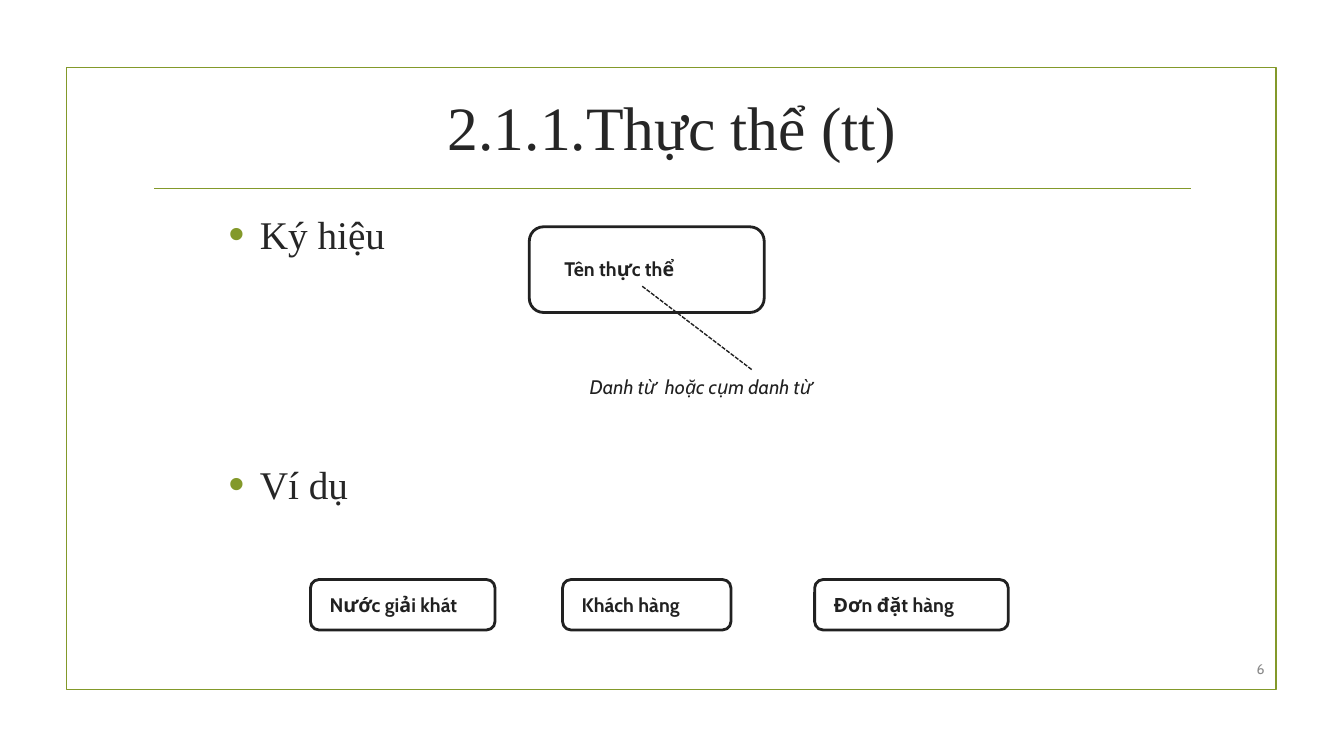
from lxml import etree
from pptx import Presentation
from pptx.dml.color import RGBColor
from pptx.enum import dml, shapes, text
from pptx.oxml import ns
from pptx.util import Inches, Pt

GREEN = RGBColor(0x83, 0x99, 0x2A)
DARK = RGBColor(0x26, 0x26, 0x26)
INK = RGBColor(0x21, 0x21, 0x21)
GRAY = RGBColor(0x89, 0x89, 0x89)
WHITE = RGBColor(0xFF, 0xFF, 0xFF)
SERIF = "Times New Roman"
SANS = "Cabin"


def set_font(paragraph, name, size, color, bold=False, italic=False):
    font = paragraph.font
    font.name, font.size = name, Pt(size)
    font.bold, font.italic = bold, italic
    font.color.rgb = color


def add_text(slide, wording, left, top, width, height, name, size, color,
             align=text.PP_ALIGN.LEFT, anchor=text.MSO_ANCHOR.TOP, **style):
    box = slide.shapes.add_textbox(
        Inches(left), Inches(top), Inches(width), Inches(height))
    frame = box.text_frame
    frame.word_wrap = True
    frame.vertical_anchor = anchor
    paragraph = frame.paragraphs[0]
    paragraph.text = wording
    paragraph.alignment = align
    set_font(paragraph, name, size, color, **style)


def add_box(slide, kind, left, top, width, height, color, weight):
    shape = slide.shapes.add_shape(
        kind, Inches(left), Inches(top), Inches(width), Inches(height))
    shape.shadow.inherit = False
    shape.line.color.rgb = color
    shape.line.width = Pt(weight)
    return shape


def add_line(slide, x1, y1, x2, y2, color, weight, dash=None):
    line = slide.shapes.add_connector(
        shapes.MSO_CONNECTOR.STRAIGHT,
        Inches(x1), Inches(y1), Inches(x2), Inches(y2))
    line.line.color.rgb = color
    line.line.width = Pt(weight)
    line.line.dash_style = dash
    etree.SubElement(line._element.spPr, ns.qn("a:effectLst"))


def add_entity(slide, name, left, top, width, height, inset_x, inset_y):
    shape = add_box(slide, shapes.MSO_SHAPE.ROUNDED_RECTANGLE,
                    left, top, width, height, INK, 2)
    shape.fill.solid()
    shape.fill.fore_color.rgb = WHITE
    add_text(slide, name, left + inset_x, top + inset_y, width - 2 * inset_x,
             0.34, SANS, 14, INK, bold=True)


def add_bullet(paragraph):
    properties = paragraph._p.get_or_add_pPr()
    properties.set("marL", str(Inches(0.31)))
    properties.set("indent", str(-Inches(0.31)))
    color = etree.SubElement(properties, ns.qn("a:buClr"))
    etree.SubElement(color, ns.qn("a:srgbClr"), val=str(GREEN))
    etree.SubElement(properties, ns.qn("a:buSzPct"), val="115000")
    etree.SubElement(properties, ns.qn("a:buFont"), typeface="Arial")
    etree.SubElement(properties, ns.qn("a:buChar"), char="•")


def add_headings(slide, headings, gap):
    box = slide.shapes.add_textbox(
        Inches(2.17), Inches(2.04), Inches(9.08), Inches(4.79))
    frame = box.text_frame
    frame.word_wrap = True
    for index, heading in enumerate(headings):
        paragraph = frame.add_paragraph() if index else frame.paragraphs[0]
        paragraph.text = heading
        add_bullet(paragraph)
        paragraph.space_before = Pt(gap if index else 0)
        paragraph.space_after = Pt(6)
        set_font(paragraph, SERIF, 28, DARK)


def main():
    presentation = Presentation()
    presentation.slide_width = Inches(13.33)
    presentation.slide_height = Inches(7.5)
    slide = presentation.slides.add_slide(presentation.slide_layouts[6])

    # Frame, title and rule
    frame = add_box(slide, shapes.MSO_SHAPE.RECTANGLE,
                    0.66, 0.67, 12, 6.17, GREEN, 1.25)
    frame.fill.background()
    add_line(slide, 1.53, 1.87, 11.81, 1.87, GREEN, 1.25)
    add_text(slide, "2.1.1.Thực thể (tt)", 1.42, 0.68, 10.5, 1.14,
             SERIF, 44, DARK, text.PP_ALIGN.CENTER, text.MSO_ANCHOR.MIDDLE)

    # Bulleted headings and slide number
    add_headings(slide, ["Ký hiệu", "Ví dụ"], gap=139)
    add_text(slide, "6", 12.05, 6.48, 0.59, 0.31, SANS, 10, GRAY,
             text.PP_ALIGN.RIGHT, text.MSO_ANCHOR.MIDDLE)

    # Entity symbol with its note
    add_entity(slide, "Tên thực thể", 5.25, 2.25, 2.33, 0.85, 0.25, 0.25)
    add_text(slide, "Danh từ  hoặc cụm danh từ", 5.75, 3.67, 3.42, 0.34,
             SANS, 14, INK, italic=True)
    add_line(slide, 6.37, 2.84, 7.46, 3.67, INK, 1,
             dml.MSO_LINE.SQUARE_DOT)

    # Example entities, 2.5 inches apart
    examples = [("Nước giải khát", 1.83), ("Khách hàng", 1.67),
                ("Đơn đặt hàng", 1.92)]
    for index, (name, width) in enumerate(examples):
        add_entity(slide, name, 3.08 + 2.5 * index, 5.75, width, 0.5,
                   0.09, 0.08)

    presentation.save("out.pptx")


if __name__ == "__main__":
    main()
